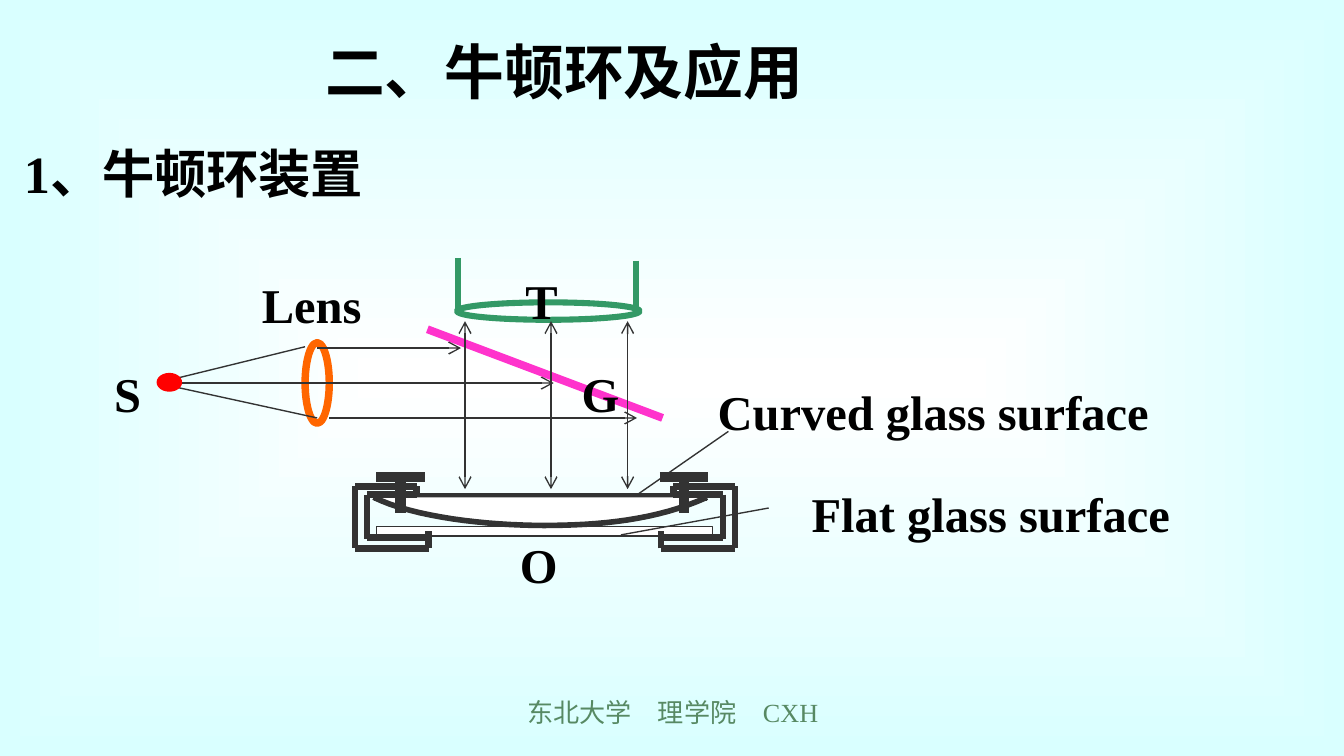
from lxml.etree import SubElement
from pptx import Presentation
from pptx.dml.color import RGBColor
from pptx.enum.shapes import MSO_CONNECTOR, MSO_SHAPE
from pptx.enum.text import MSO_AUTO_SIZE, PP_ALIGN
from pptx.oxml.ns import qn
from pptx.util import Inches, Pt

COLORS = {
    "ink": "333333", "text": "000000", "white": "FFFFFF", "edge": "D9FFFF",
    "telescope": "339966", "splitter": "FF33CC", "lens": "FF6600",
    "source": "FF0000", "footer": "578963",
}
FONT = "Times New Roman"


def color(name):
    return RGBColor.from_string(COLORS[name])


def bezier(start, control_a, control_b, end, steps=16):
    """Return points along a cubic curve, without its start."""
    points = []
    for step in range(1, steps + 1):
        t = step / steps
        weights = ((1 - t) ** 3, 3 * t * (1 - t) ** 2, 3 * t ** 2 * (1 - t), t ** 3)
        corners = (start, control_a, control_b, end)
        points.append(tuple(sum(w * c[axis] for w, c in zip(weights, corners))
                            for axis in (0, 1)))
    return points


class Diagram:
    def __init__(self, page):
        self.page = page

    def background(self, center, edge):
        fill = self.page.background.fill
        fill.gradient()
        for stop, name in zip(fill.gradient_stops, (center, edge)):
            stop.color.rgb = color(name)
        gradient = next(self.page.element.iter(qn("a:gradFill")))
        gradient.remove(gradient.find(qn("a:lin")))
        shade = SubElement(gradient, qn("a:path"), path="rect")
        SubElement(shade, qn("a:fillToRect"),
                   {side: "50000" for side in ("l", "t", "r", "b")})

    def line(self, start, end, name="ink", width=0.75, arrows=()):
        """Draw a straight line; arrows may hold headEnd and tailEnd."""
        line = self.page.shapes.add_connector(
            MSO_CONNECTOR.STRAIGHT, *(Inches(v) for v in (*start, *end)))
        line.line.color.rgb = color(name)
        line.line.width = Pt(width)
        for arrow in arrows:
            SubElement(line.line._get_or_add_ln(), qn("a:" + arrow), type="arrow")
        SubElement(line._element.spPr, qn("a:effectLst"))

    def paint(self, shape, outline, width, fill):
        shape.shadow.inherit = False
        shape.line.color.rgb = color(outline)
        shape.line.width = Pt(width)
        if fill:
            shape.fill.solid()
            shape.fill.fore_color.rgb = color(fill)
        else:
            shape.fill.background()

    def shape(self, kind, place, outline, width, fill=None):
        shape = self.page.shapes.add_shape(kind, *(Inches(v) for v in place))
        self.paint(shape, outline, width, fill)

    def curve(self, points, outline, width, fill):
        (first_x, first_y), *rest = [(Inches(x), Inches(y)) for x, y in points]
        builder = self.page.shapes.build_freeform(first_x, first_y)
        builder.add_line_segments(rest, close=False)
        self.paint(builder.convert_to_shape(), outline, width, fill)

    def text(self, words, place, size=26, name="text", bold=True, align=PP_ALIGN.LEFT):
        box = self.page.shapes.add_textbox(*(Inches(v) for v in place))
        frame = box.text_frame
        frame.text = words
        frame.word_wrap = True
        frame.auto_size = MSO_AUTO_SIZE.SHAPE_TO_FIT_TEXT
        paragraph = frame.paragraphs[0]
        paragraph.alignment = align
        font = paragraph.runs[0].font
        font.name, font.size, font.bold = FONT, Pt(size), bold
        font.color.rgb = color(name)

    def clamp(self, outer, inward):
        """Draw a holder from its outer edge; inward is 1 (right) or -1 (left)."""
        wall, lip, foot = (outer + inward * d for d in (0.09, 0.46, 0.55))
        for start, end in (
            ((lip, 3.62), (outer, 3.62)), ((lip, 3.68), (wall, 3.68)),
            ((lip, 3.62), (lip, 3.68)), ((wall, 3.68), (wall, 4.01)),
            ((outer, 3.62), (outer, 4.08)), ((foot, 4.08), (outer, 4.08)),
            ((foot, 4.08), (foot, 3.95)), ((foot, 4), (wall, 4)),
        ):
            self.line(start, end, width=3.5)

    def screw(self, center):
        self.line((center, 3.55), (center, 3.82), width=5.5)
        self.line((center - 0.18, 3.55), (center + 0.18, 3.55), width=5.5)


def draw_optics(diagram):
    diagram.line((3.41, 1.92), (3.41, 2.32), "telescope", 3.25)
    diagram.shape(MSO_SHAPE.OVAL, (3.4, 2.25, 1.36, 0.13), "telescope", 3.25)
    diagram.line((4.73, 1.94), (4.73, 2.34), "telescope", 3.25)
    diagram.line((3.18, 2.45), (4.93, 3.11), "splitter", 4.25)
    diagram.shape(MSO_SHAPE.OVAL, (2.27, 2.55, 0.18, 0.6), "lens", 4)

    source = (1.17, 2.85)
    diagram.line(source, (2.45, 2.85))
    for left, right, y in ((2.23, 4.12, 2.85), (2.36, 3.43, 2.59), (2.45, 4.74, 3.11)):
        diagram.line((left, y), (right, y), arrows=("tailEnd",))
    for lens_point in ((2.27, 2.58), (2.36, 3.11)):
        diagram.line(source, lens_point)
    diagram.shape(MSO_SHAPE.OVAL, (1.17, 2.78, 0.18, 0.13), "source", 0.75, "source")
    for x in (4.1, 3.46, 4.67):
        diagram.line((x, 2.39), (x, 3.64), arrows=("headEnd", "tailEnd"))

    for words, left, top, width in (
        ("S", 0.75, 2.66, 0.85), ("Lens", 1.85, 2, 1.4), ("T", 3.81, 1.97, 0.68),
        ("G", 4.23, 2.66, 0.68), ("Curved glass surface", 5.24, 2.79, 3.52),
    ):
        diagram.text(words, (left, top, width, 0.54))


def draw_glass(diagram):
    diagram.line((5.42, 3.21), (4.57, 3.8))
    diagram.line((3.7, 3.42), (3.7, 3.42))
    diagram.shape(MSO_SHAPE.RECTANGLE, (2.8, 3.92, 2.5, 0.07), "ink", 0.75, "white")
    left, bottom, right = (2.78, 3.7), (4.05, 3.91), (5.26, 3.7)
    diagram.line(left, right, width=4.5)
    diagram.curve([left, *bezier(left, (3.08, 3.85), (3.63, 3.91), bottom),
                   *bezier(bottom, (4.46, 3.91), (4.89, 3.87), right)],
                  "ink", 3, "white")
    diagram.clamp(5.47, -1)
    diagram.clamp(2.64, 1)
    diagram.screw(2.98)
    diagram.screw(5.09)
    diagram.text("O", (3.77, 3.93, 0.42, 0.54))
    diagram.line((4.62, 3.98), (5.72, 3.78))
    diagram.text("Flat glass surface", (5.94, 3.55, 3.54, 0.54))


def main():
    deck = Presentation()
    deck.slide_width = Inches(10)
    deck.slide_height = deck.slide_width * 9 // 16
    diagram = Diagram(deck.slides.add_slide(deck.slide_layouts[6]))
    diagram.background("white", "edge")
    draw_optics(diagram)
    draw_glass(diagram)
    diagram.text("1、牛顿环装置", (0.08, 1, 3.74, 0.57), 28)
    diagram.text("二、牛顿环及应用", (2.32, 0.21, 3.78, 0.64), 32)
    diagram.text("东北大学　理学院　CXH", (3.42, 5.13, 3.17, 0.37), 14, "footer",
                 bold=False, align=PP_ALIGN.CENTER)
    deck.save("out.pptx")


if __name__ == "__main__":
    main()
